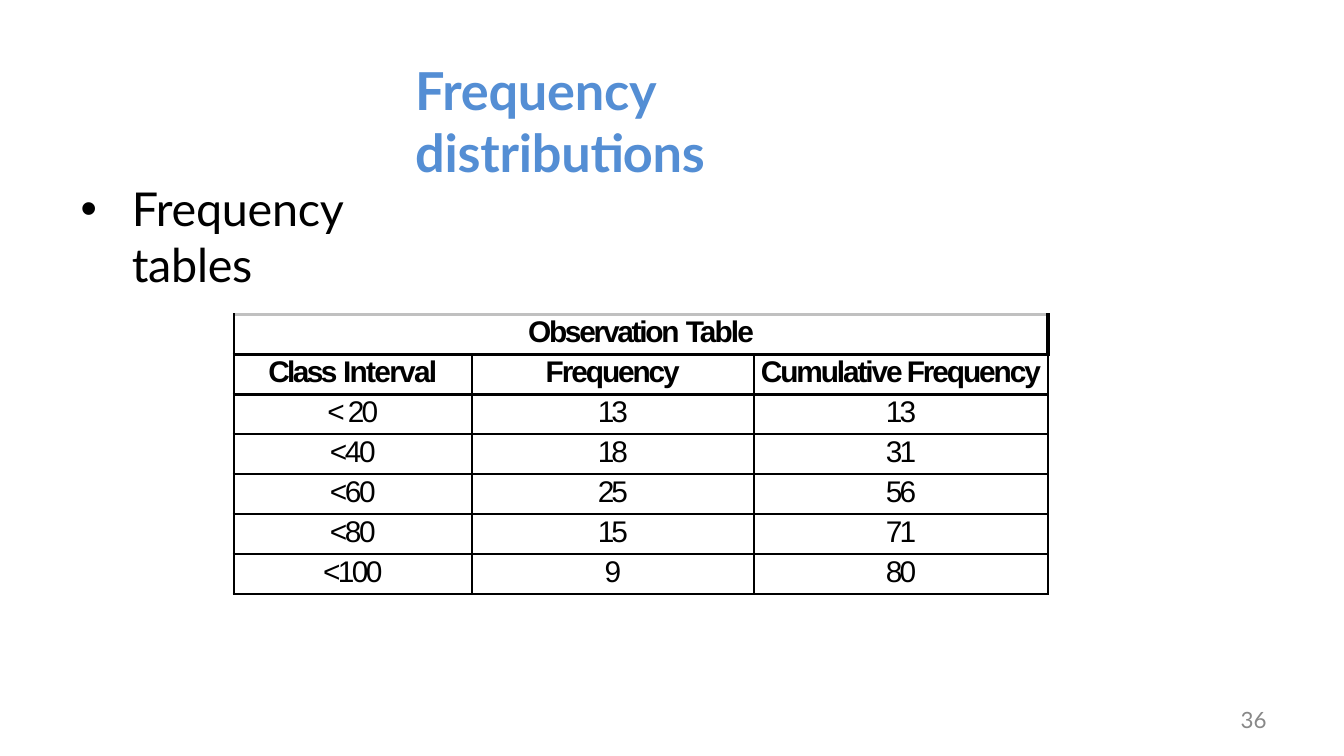
from lxml import etree
from pptx import Presentation
from pptx.dml.color import RGBColor
from pptx.enum.text import MSO_AUTO_SIZE as AutoSize, PP_ALIGN as Align
from pptx.oxml.ns import qn
from pptx.util import Inches, Pt

SLIDE_WIDTH = Inches(10)
SLIDE_HEIGHT = SLIDE_WIDTH * 9 // 16
HEADING_FONT, TABLE_FONT = "Lato", "Arial"
BLUE, BLACK, GREY, SILVER = "548ED4", "000000", "888888", "C0C0C0"

# Each cell is a list of (text, letter spacing in points)
TABLE_ROWS = [
    [[("Observation ", -1.2), ("Table", -1)]],
    [[("Class ", -1.4), ("Interval", -0.9)], [("Frequency", -1.1)],
     [("Cumulative Frequency", -1.1)]],
    [[("< 20", -1.4)], [("13", -1.6)], [("13", -1.6)]],
    [[("<40", -1.3)], [("18", -1.6)], [("31", -1.6)]],
    [[("<60", -1.3)], [("25", -1.6)], [("56", -1.6)]],
    [[("<80", -1.3)], [("15", -1.6)], [("71", -1.6)]],
    [[("<100", -1.4)], [("9", 0)], [("80", -1.6)]],
]
COLUMN_WIDTHS = [1.77, 2.1, 2.19]


def color(value):
    return RGBColor.from_string(value)


def write(paragraph, runs, font, size, text_color, bold=False):
    paragraph.font.name = font
    paragraph.font.size = Pt(size)
    paragraph.font.bold = bold
    paragraph.font.color.rgb = color(text_color)
    for text, spacing in runs:
        run = paragraph.add_run()
        run.text = text
        run._r.get_or_add_rPr().set("spc", str(round(spacing * 100)))


def set_indent(paragraph, left, first_line=0):
    properties = paragraph._p.get_or_add_pPr()
    properties.set("marL", str(Inches(left)))
    properties.set("indent", str(Inches(first_line)))
    return properties


def add_text(slide, box, text, size, text_color, bold=False, spacing=-0.1, top=0.01):
    shape = slide.shapes.add_textbox(*map(Inches, box))
    frame = shape.text_frame
    frame.word_wrap = True
    frame.auto_size = AutoSize.SHAPE_TO_FIT_TEXT
    frame.margin_left = frame.margin_right = frame.margin_bottom = 0
    frame.margin_top = Inches(top)
    paragraph = frame.paragraphs[0]
    write(paragraph, [(text, spacing)], HEADING_FONT, size, text_color, bold)
    return paragraph


def add_title(slide, box):
    paragraph = add_text(slide, box, "Frequency distributions", 28, BLUE, bold=True)
    paragraph.space_before = Pt(0.9)
    set_indent(paragraph, 0.01)


def add_bullet(slide, box):
    paragraph = add_text(slide, box, "Frequency tables", 25, BLACK)
    paragraph.space_before = Pt(0.9)
    properties = set_indent(paragraph, 0.39, -0.38)
    # The bullet has to stand ahead of the default run properties
    default_run = properties.find(qn("a:defRPr"))
    default_run.addprevious(etree.Element(qn("a:buFont"), typeface="Arial"))
    default_run.addprevious(etree.Element(qn("a:buChar"), char="•"))


def add_slide_number(slide, box):
    paragraph = add_text(slide, box, "36", 12, GREY, spacing=0, top=0)
    paragraph.line_spacing = Pt(12.4)
    set_indent(paragraph, 0.04)


def set_border(cell, side, line_color=BLACK, width=1.5):
    line = etree.SubElement(cell._tc.get_or_add_tcPr(), qn(f"a:ln{side}"), w=str(Pt(width)))
    fill = etree.SubElement(line, qn("a:solidFill"))
    etree.SubElement(fill, qn("a:srgbClr"), val=line_color)


def style_cell(cell, is_top):
    cell.margin_left = cell.margin_right = cell.margin_bottom = 0
    cell.margin_top = Inches(0.01)
    set_border(cell, "L")
    set_border(cell, "R", width=2.25 if is_top else 1.5)
    set_border(cell, "T", SILVER if is_top else BLACK)
    set_border(cell, "B")
    cell.fill.background()


def add_frequency_table(slide, box):
    row_count, column_count = len(TABLE_ROWS), len(COLUMN_WIDTHS)
    table = slide.shapes.add_table(row_count, column_count, *map(Inches, box)).table
    table.first_row = table.horz_banding = False
    for column, share in zip(table.columns, COLUMN_WIDTHS):
        column.width = Inches(box[2] * share / sum(COLUMN_WIDTHS))
    for index, row in enumerate(table.rows):
        row.height = Inches(box[3] / row_count)
        for cell in row.cells:
            style_cell(cell, is_top=index == 0)

    # The caption spans all columns
    table.cell(0, 0).merge(table.cell(0, column_count - 1))
    for row_index, cells in enumerate(TABLE_ROWS):
        for column_index, runs in enumerate(cells):
            paragraph = table.cell(row_index, column_index).text_frame.paragraphs[0]
            paragraph.alignment = Align.CENTER
            paragraph.space_before = Pt(0.9)
            write(paragraph, runs, TABLE_FONT, 16, BLACK, bold=row_index < 2)


def main():
    presentation = Presentation()
    presentation.slide_width, presentation.slide_height = SLIDE_WIDTH, SLIDE_HEIGHT
    slide = presentation.slides.add_slide(presentation.slide_layouts[6])
    add_title(slide, (3.08, 0.42, 3.83, 0.49))
    add_slide_number(slide, (9.19, 5.28, 0.25, 0.19))
    add_bullet(slide, (0.59, 1.33, 2.81, 0.44))
    add_frequency_table(slide, (1.74, 2.34, 6.06, 2.08))
    presentation.save("out.pptx")


if __name__ == "__main__":
    main()
